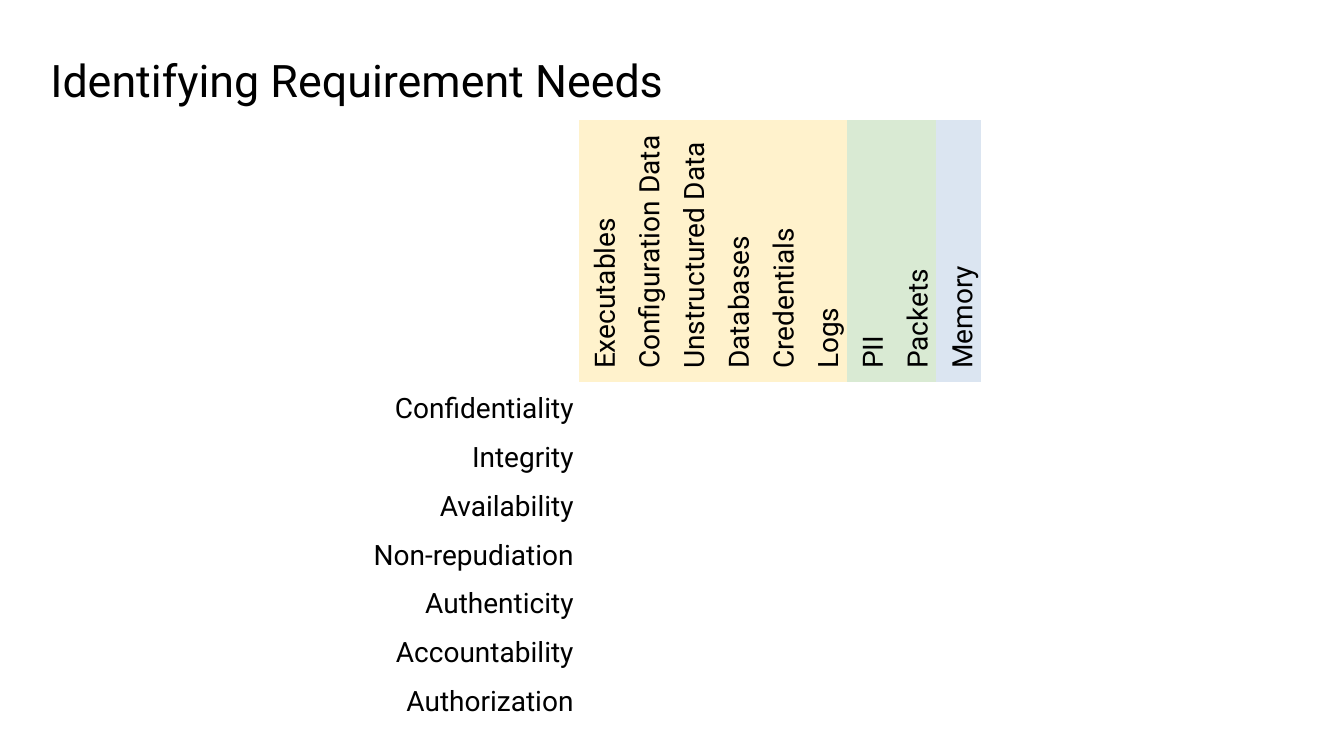
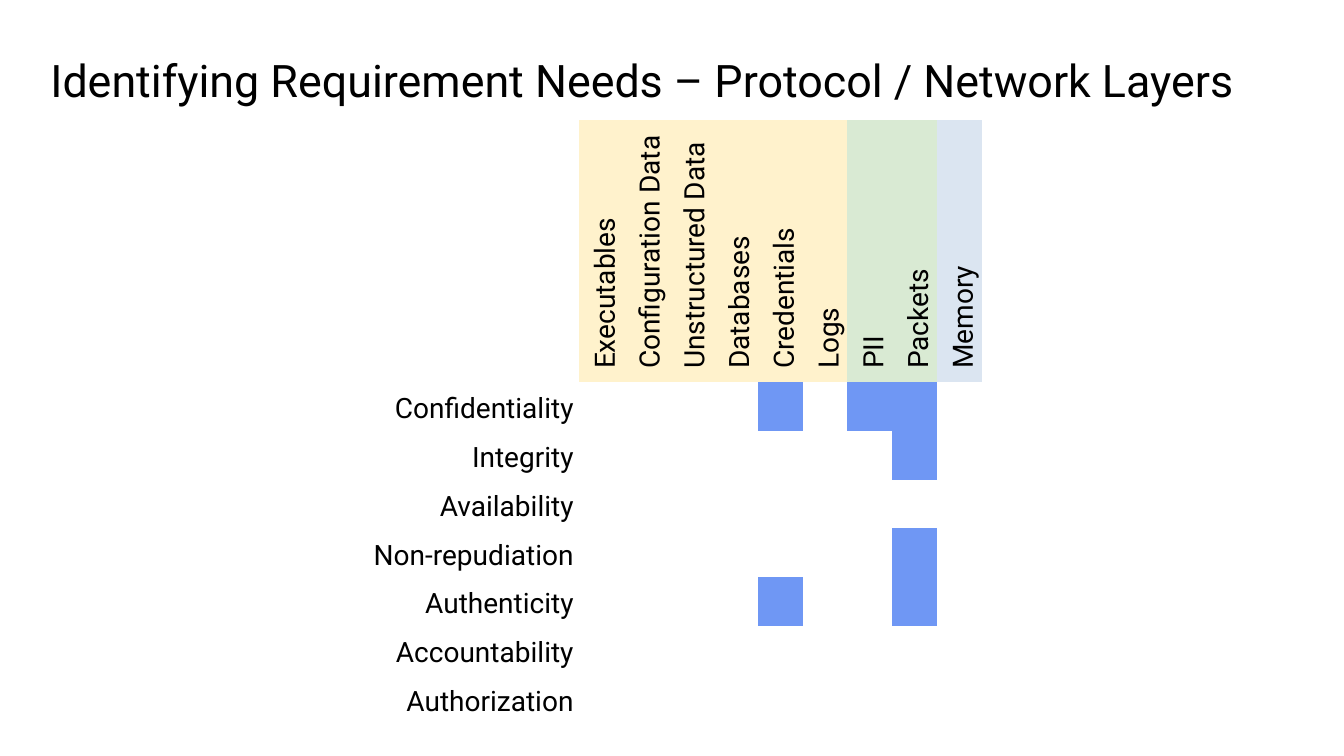
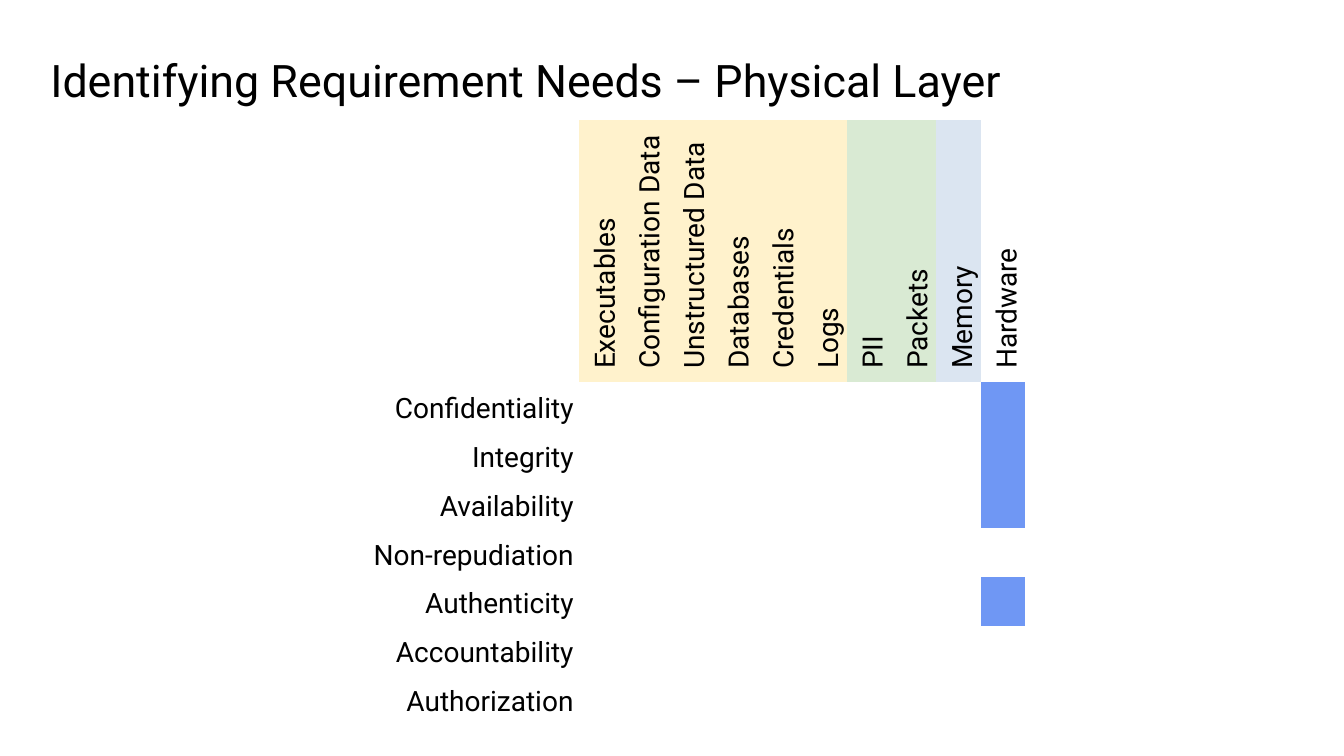
from dataclasses import dataclass, field
from typing import NamedTuple

from pptx import Presentation
from pptx.dml.color import RGBColor
from pptx.enum.text import MSO_ANCHOR, PP_ALIGN
from pptx.oxml.ns import qn
from pptx.slide import Slide
from pptx.table import _Cell as Cell
from pptx.text.text import TextFrame
from pptx.util import Inches, Pt


@dataclass(frozen=True)
class Theme:
    font: str = "Roboto"
    ink: str = "000000"
    paper: str = "FFFFFF"
    stored: str = "FFF2CC"
    moving: str = "D9EAD3"
    in_use: str = "DBE5F1"
    mark: str = "6F97F4"
    title: int = 32
    body: int = 20
    plain: str = "{2D5ABB26-0587-4C30-8999-92F81FD0307C}"


class Asset(NamedTuple):
    name: str
    fill: str | None


@dataclass(frozen=True)
class Page:
    title: str
    width: float
    assets: list[Asset]
    marks: dict[str, list[str]] = field(default_factory=dict)


THEME = Theme()
ASSETS = [
    Asset("Executables", THEME.stored),
    Asset("Configuration Data", THEME.stored),
    Asset("Unstructured Data", THEME.stored),
    Asset("Databases", THEME.stored),
    Asset("Credentials", THEME.stored),
    Asset("Logs", THEME.stored),
    Asset("PII", THEME.moving),
    Asset("Packets", THEME.moving),
    Asset("Memory", THEME.in_use),
]
GOALS = ["Confidentiality", "Integrity", "Availability", "Non-repudiation",
         "Authenticity", "Accountability", "Authorization"]
TITLE = "Identifying Requirement Needs"
PAGES = [
    Page(TITLE, 6.14, ASSETS),
    Page(f"{TITLE} – Protocol / Network Layers", 6.15, ASSETS, {
        "Credentials": ["Confidentiality", "Authenticity"],
        "PII": ["Confidentiality"],
        "Packets": ["Confidentiality", "Integrity", "Non-repudiation", "Authenticity"],
    }),
    Page(f"{TITLE} – Physical Layer", 6.58, ASSETS + [Asset("Hardware", None)], {
        "Hardware": ["Confidentiality", "Integrity", "Availability", "Authenticity"],
    }),
]
LEFT, TOP = 3.59, 1.19
LABEL, HEAD, ROW = 2.15, 2.6, 0.47
PAD, INDENT = 0.05, 0.08


def write(frame: TextFrame, text: str, *, size: int = THEME.body,
          align: PP_ALIGN = PP_ALIGN.LEFT, space: float = 1.0,
          indent: float = 0) -> None:
    para = frame.paragraphs[0]
    para.alignment = align
    para.line_spacing = space
    if indent:
        para._p.get_or_add_pPr().set("marL", str(Inches(indent)))
    run = para.add_run()
    run.text = text
    run.font.name = THEME.font
    run.font.size = Pt(size)
    run.font.color.rgb = RGBColor.from_string(THEME.ink)


def paint(cell: Cell, fill: str | None) -> None:
    cell.margin_left = cell.margin_right = Inches(PAD)
    cell.margin_top = cell.margin_bottom = Inches(PAD)
    cell.vertical_anchor = MSO_ANCHOR.BOTTOM
    if fill:
        cell.fill.solid()
        cell.fill.fore_color.rgb = RGBColor.from_string(fill)
    else:
        cell.fill.background()


def add_title(slide: Slide, text: str) -> None:
    frame = slide.shapes.add_textbox(
        Inches(0.5), Inches(0.5), Inches(12.33), Inches(0.57)).text_frame
    frame.word_wrap = True
    frame.vertical_anchor = MSO_ANCHOR.MIDDLE
    frame.margin_left = frame.margin_right = 0
    frame.margin_top = frame.margin_bottom = 0
    write(frame, text, size=THEME.title)


def add_grid(slide: Slide, page: Page) -> None:
    count = len(page.assets)
    table = slide.shapes.add_table(
        len(GOALS) + 1, count + 1, Inches(LEFT), Inches(TOP),
        Inches(page.width), Inches(HEAD + ROW * len(GOALS))).table
    table.first_row = table.horz_banding = False
    table._tbl.tblPr.find(qn("a:tableStyleId")).text = THEME.plain
    for i, col in enumerate(table.columns):
        col.width = Inches((page.width - LABEL) / count if i else LABEL)
    for i, row in enumerate(table.rows):
        row.height = Inches(ROW if i else HEAD)
    paint(table.cell(0, 0), None)
    for y, goal in enumerate(GOALS, 1):
        cell = table.cell(y, 0)
        paint(cell, None)
        write(cell.text_frame, goal, align=PP_ALIGN.RIGHT, space=1.15)
    for x, asset in enumerate(page.assets, 1):
        head = table.cell(0, x)
        paint(head, asset.fill)
        head._tc.get_or_add_tcPr().set("vert", "vert270")
        write(head.text_frame, asset.name, space=1.15, indent=INDENT)
        needs = page.marks.get(asset.name, [])
        for y, goal in enumerate(GOALS, 1):
            paint(table.cell(y, x), THEME.mark if goal in needs else None)


def main() -> None:
    deck = Presentation()
    deck.slide_width, deck.slide_height = Inches(13.33), Inches(7.5)
    for page in PAGES:
        slide = deck.slides.add_slide(deck.slide_layouts[6])
        slide.background.fill.solid()
        slide.background.fill.fore_color.rgb = RGBColor.from_string(THEME.paper)
        add_title(slide, page.title)
        add_grid(slide, page)
    deck.save("out.pptx")


if __name__ == "__main__":
    main()
